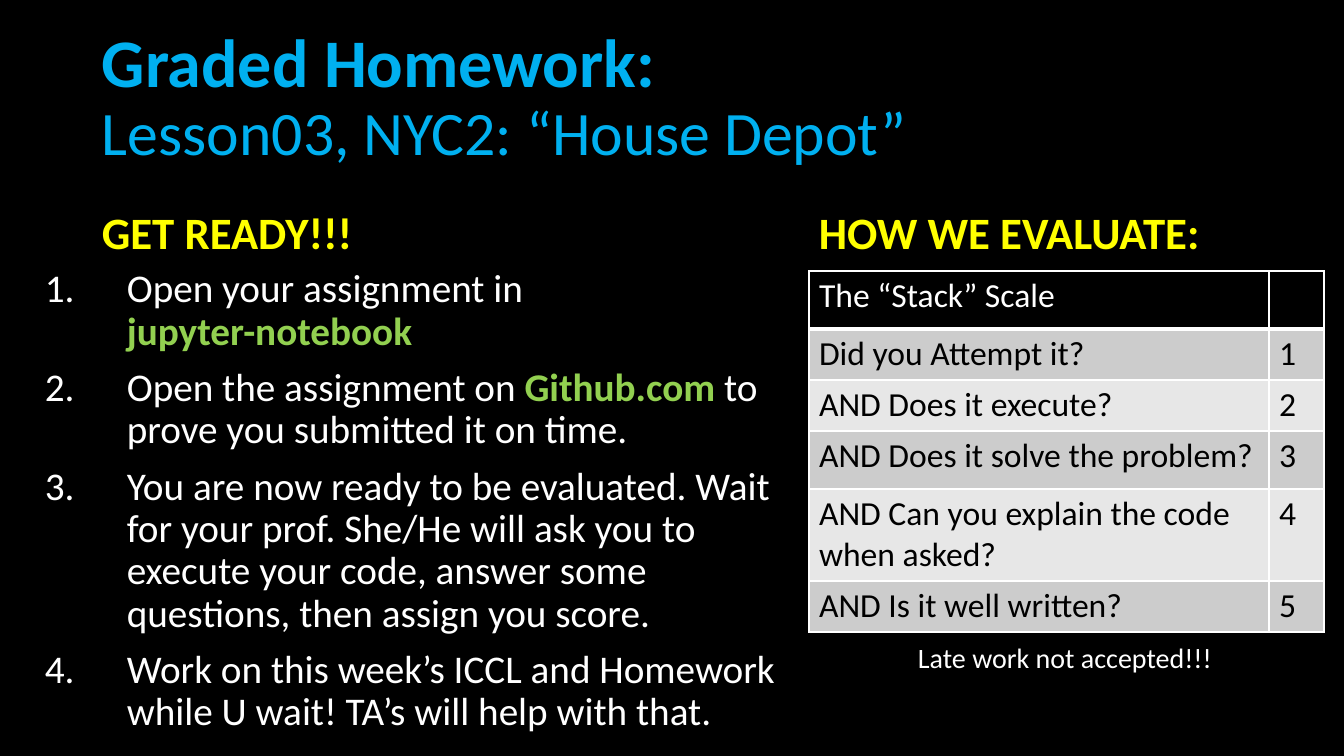
"""Build the graded homework slide with its steps and scoring table."""
from lxml import etree
from pptx import Presentation
from pptx import util as u
from pptx.dml.color import RGBColor
from pptx.enum import text
from pptx.oxml import ns

SCALE = 914400 / 100.8
FONT = "Calibri"
BLACK = RGBColor(0x00, 0x00, 0x00)
WHITE = RGBColor(0xFF, 0xFF, 0xFF)
BLUE = RGBColor(0x00, 0xB0, 0xF0)
YELLOW = RGBColor(0xFF, 0xFF, 0x00)
GREEN = RGBColor(0x92, 0xD0, 0x50)
DARK_BAND = RGBColor(0xCC, 0xCC, 0xCC)
LIGHT_BAND = RGBColor(0xE7, 0xE7, 0xE7)

STEPS = [
    ["Open your assignment in ", "\n", ("jupyter-notebook", GREEN)],
    ["Open the assignment on ", ("Github.com", GREEN), " to prove you submitted it on time."],
    ["You are now ready to be evaluated. Wait for your prof. She/He will ask you to "
     "execute your code, answer some questions, then assign you score."],
    ["Work on this week’s ICCL and Homework while U wait! TA’s will help with that."],
]
SCALE_ROWS = [
    ("The “Stack” Scale", "", 58),
    ("Did you Attempt it?", "1", 51),
    ("AND Does it execute?", "2", 51),
    ("AND Does it solve the problem?", "3", 58),
    ("AND Can you explain the code when asked?", "4", 92),
    ("AND Is it well written?", "5", 51),
]


def px(length):
    """Turn pixels into EMU."""
    return u.Emu(round(length * SCALE))


def set_font(font, size, color, bold=False):
    """Set the face, size, colour and weight of a font."""
    font.name = FONT
    font.size = u.Pt(size)
    font.color.rgb = color
    font.bold = bold


def add_text_frame(slide, left, top, width, height, anchor=text.MSO_ANCHOR.TOP, wrap=True):
    """Add a text box and return its text frame."""
    frame = slide.shapes.add_textbox(px(left), px(top), px(width), px(height)).text_frame
    frame.word_wrap = wrap
    frame.vertical_anchor = anchor
    return frame


def add_title(slide):
    """Add the two-line title."""
    frame = add_text_frame(slide, 92, 40, 1160, 118, text.MSO_ANCHOR.MIDDLE)
    paragraph = frame.paragraphs[0]
    paragraph.line_spacing = 0.9
    heading = paragraph.add_run()
    heading.text = "Graded Homework: "
    set_font(heading.font, 48.6, BLUE, True)
    paragraph.add_line_break()
    lesson = paragraph.add_run()
    lesson.text = "Lesson03, NYC2: “House Depot”"
    set_font(lesson.font, 44.1, BLUE)


def add_heading(slide, words, left, width):
    """Add a yellow column heading."""
    frame = add_text_frame(slide, left, 202, width, 62, text.MSO_ANCHOR.BOTTOM)
    paragraph = frame.paragraphs[0]
    paragraph.text = words
    paragraph.line_spacing = 0.9
    set_font(paragraph.font, 32, YELLOW, True)


def number_paragraph(paragraph, indent):
    """Give a paragraph an automatic number and a hanging indent."""
    properties = paragraph._p.get_or_add_pPr()
    properties.set("marL", str(px(indent)))
    properties.set("indent", str(-px(indent)))
    face = etree.SubElement(properties, ns.qn("a:buFont"))
    face.set("typeface", "+mj-lt")
    number = etree.SubElement(properties, ns.qn("a:buAutoNum"))
    number.set("type", "arabicPeriod")


def add_steps(slide):
    """Add the numbered list of steps."""
    frame = add_text_frame(slide, 35, 264, 759, 471)
    for index, parts in enumerate(STEPS):
        paragraph = frame.add_paragraph() if index else frame.paragraphs[0]
        paragraph.line_spacing = 0.9
        if index:
            paragraph.space_before = u.Pt(10)
        number_paragraph(paragraph, 82)
        set_font(paragraph.font, 28, WHITE)
        for part in parts:
            if part == "\n":
                paragraph.add_line_break()
                continue
            run = paragraph.add_run()
            if isinstance(part, tuple):
                run.text, run.font.color.rgb = part
                run.font.bold = True
            else:
                run.text = part


def border_cell(cell, bottom):
    """Draw white lines around a cell."""
    properties = cell._tc.get_or_add_tcPr()
    for side, points in (("L", 1), ("R", 1), ("T", 1), ("B", bottom)):
        line = etree.SubElement(properties, ns.qn(f"a:ln{side}"))
        line.set("w", str(u.Pt(points)))
        fill = etree.SubElement(line, ns.qn("a:solidFill"))
        etree.SubElement(fill, ns.qn("a:srgbClr")).set("val", str(WHITE))


def add_scale_table(slide):
    """Add the scoring table."""
    height = sum(row[2] for row in SCALE_ROWS)
    frame = slide.shapes.add_table(len(SCALE_ROWS), 2, px(809), px(271), px(515), px(height))
    table = frame.table
    table.first_row = table.horz_banding = False
    for column, width in zip(table.columns, (460, 55)):
        column.width = px(width)
    for index, (question, score, row_height) in enumerate(SCALE_ROWS):
        table.rows[index].height = px(row_height)
        band = DARK_BAND if index % 2 else LIGHT_BAND
        for column, words in enumerate((question, score)):
            cell = table.cell(index, column)
            border_cell(cell, 1 if index else 3)
            cell.fill.solid()
            cell.fill.fore_color.rgb = band if index else BLACK
            cell.text = words
            set_font(cell.text_frame.paragraphs[0].font, 24, BLACK if index else WHITE)


def add_late_note(slide):
    """Add the note under the table."""
    frame = add_text_frame(slide, 908, 636, 318, 44, wrap=False)
    frame.auto_size = text.MSO_AUTO_SIZE.SHAPE_TO_FIT_TEXT
    paragraph = frame.paragraphs[0]
    paragraph.text = "Late work not accepted!!!"
    set_font(paragraph.font, 20, WHITE)


def main():
    """Build and save the presentation."""
    presentation = Presentation()
    presentation.slide_width, presentation.slide_height = px(1344), px(756)
    slide = presentation.slides.add_slide(presentation.slide_layouts[6])
    slide.background.fill.solid()
    slide.background.fill.fore_color.rgb = BLACK
    add_title(slide)
    add_heading(slide, "GET READY!!!", 92, 569)
    add_steps(slide)
    add_heading(slide, "HOW WE EVALUATE:", 809, 471)
    add_scale_table(slide)
    add_late_note(slide)
    presentation.save("out.pptx")


if __name__ == "__main__":
    main()
